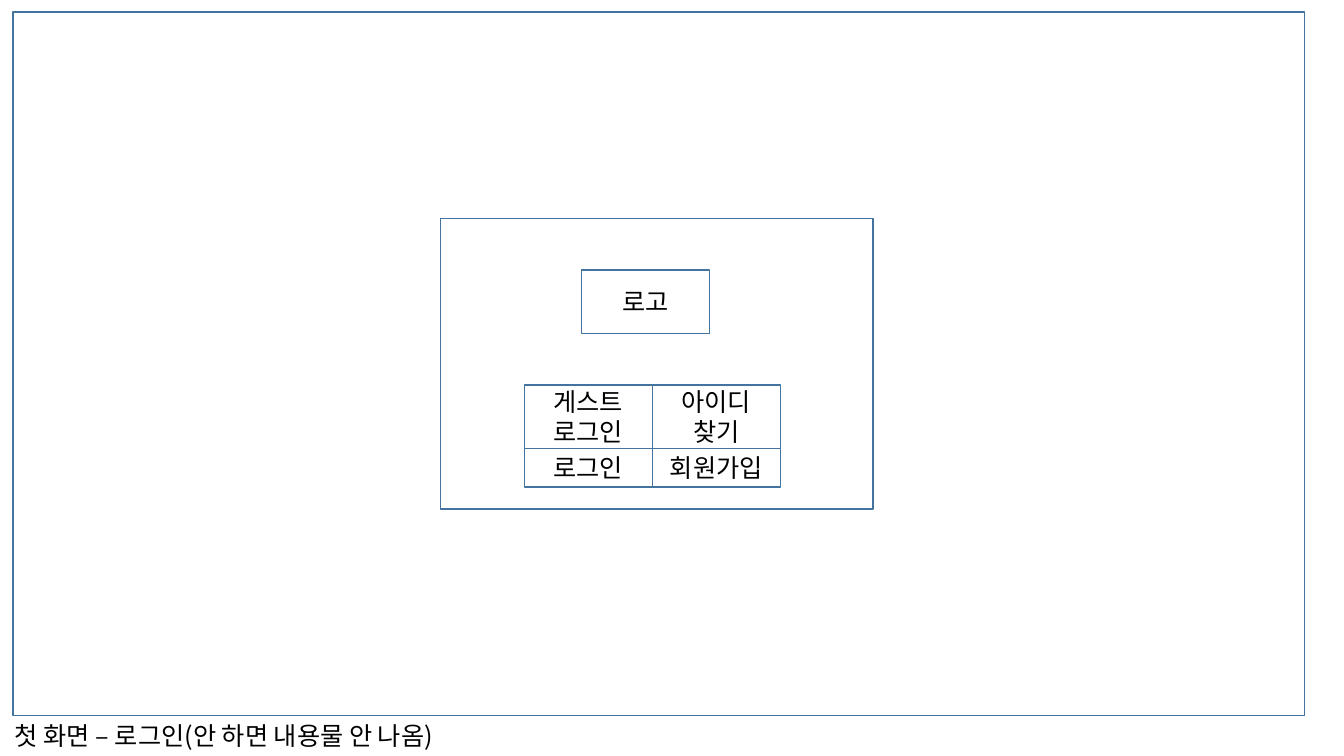
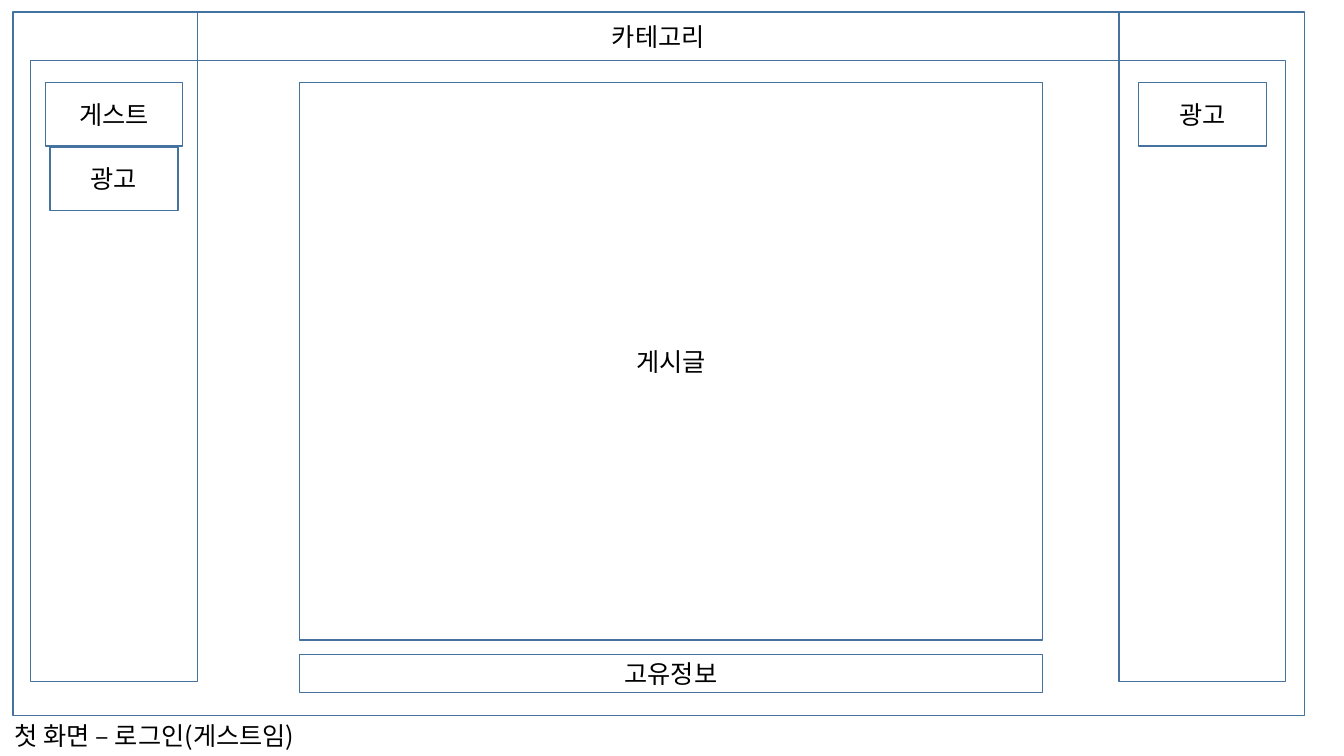
from pptx import Presentation
from pptx.dml.color import RGBColor
from pptx.enum import shapes, text
from pptx.oxml import ns, xmlchemy
from pptx.util import Inches, Pt

OUTLINE = RGBColor(0x43, 0x73, 0x9E)
INK = RGBColor(0, 0, 0)
FONT = "Noto Sans CJK KR"

# Left, top, width and height in inches
SCREEN = (0.13, 0.12, 12.81, 6.98)
BUTTON_WIDTH, BUTTON_HEIGHT = 1.27, 0.63
BAR_HEIGHT = 0.38


def write(frame, words):
    frame.text = words
    paragraph = frame.paragraphs[0]
    font = paragraph.font
    font.name, font.size = FONT, Pt(18)
    font.color.rgb = INK
    # Korean glyphs follow the East Asian typeface
    properties = paragraph._p.pPr.find(ns.qn("a:defRPr"))
    east_asian = xmlchemy.OxmlElement("a:ea")
    east_asian.set("typeface", FONT)
    properties.find(ns.qn("a:latin")).addnext(east_asian)
    return paragraph


def add_box(slide, left, top, width, height, words=""):
    shape = slide.shapes.add_shape(
        shapes.MSO_SHAPE.RECTANGLE,
        Inches(left), Inches(top), Inches(width), Inches(height))
    shape.shadow.inherit = False
    shape.fill.background()
    shape.line.color.rgb = OUTLINE
    shape.line.width = Pt(1)
    if words:
        shape.text_frame.vertical_anchor = text.MSO_ANCHOR.MIDDLE
        write(shape.text_frame, words).alignment = text.PP_ALIGN.CENTER


def add_screen(presentation, caption, caption_width):
    """Blank slide with the screen frame and its caption below."""
    slide = presentation.slides.add_slide(presentation.slide_layouts[6])
    add_box(slide, *SCREEN)
    left, top, width, height = SCREEN
    caption_box = slide.shapes.add_textbox(
        Inches(left - 0.08), Inches(top + height),
        Inches(caption_width), Inches(0.4))
    frame = caption_box.text_frame
    frame.word_wrap = False
    frame.auto_size = text.MSO_AUTO_SIZE.SHAPE_TO_FIT_TEXT
    write(frame, caption)
    return slide


def add_login_panel(slide, left, top, width, height):
    add_box(slide, left, top, width, height)
    add_box(slide, left + 1.4, top + 0.51, BUTTON_WIDTH, BUTTON_HEIGHT, "로고")
    # Two rows of buttons
    row_top = top + 1.65
    rows = [(BUTTON_HEIGHT, ("게스트 로그인", "아이디 찾기")),
            (BAR_HEIGHT, ("로그인", "회원가입"))]
    for row_height, labels in rows:
        for column, label in enumerate(labels):
            add_box(slide, left + 0.83 + column * BUTTON_WIDTH, row_top,
                    BUTTON_WIDTH, row_height, label)
        row_top += row_height


def add_sidebar(slide, left, top, width, height, buttons):
    """Column of centred buttons, each given as label and width."""
    add_box(slide, left, top, width, height)
    for row, (label, button_width) in enumerate(buttons):
        add_box(slide, left + (width - button_width) / 2,
                top + 0.22 + row * (BUTTON_HEIGHT + 0.01),
                button_width, BUTTON_HEIGHT, label)


def add_board(slide, left, top, width, height):
    """Posts above, information bar at the bottom."""
    add_box(slide, left, top, width, height - BAR_HEIGHT - 0.14, "게시글")
    add_box(slide, left, top + height - BAR_HEIGHT, width, BAR_HEIGHT,
            "고유정보")


def build_login(presentation):
    slide = add_screen(
        presentation, "첫 화면 – 로그인(안 하면 내용물 안 나옴)", 4.9)
    add_login_panel(slide, 4.37, 2.17, 4.29, 2.88)


def build_guest(presentation):
    slide = add_screen(presentation, "첫 화면 – 로그인(게스트임)", 3.28)
    add_box(slide, 1.96, SCREEN[1], 9.14, 0.48, "카테고리")
    advert = ("광고", BUTTON_WIDTH)
    add_sidebar(slide, 0.3, 0.6, 1.66, 6.16, [("게스트", 1.36), advert])
    add_sidebar(slide, 11.1, 0.6, 1.65, 6.16, [advert])
    add_board(slide, 2.97, 0.82, 7.37, 6.05)


def main():
    presentation = Presentation()
    presentation.slide_width = Inches(13.33)
    presentation.slide_height = Inches(7.5)
    build_login(presentation)
    build_guest(presentation)
    presentation.save("out.pptx")


if __name__ == "__main__":
    main()
